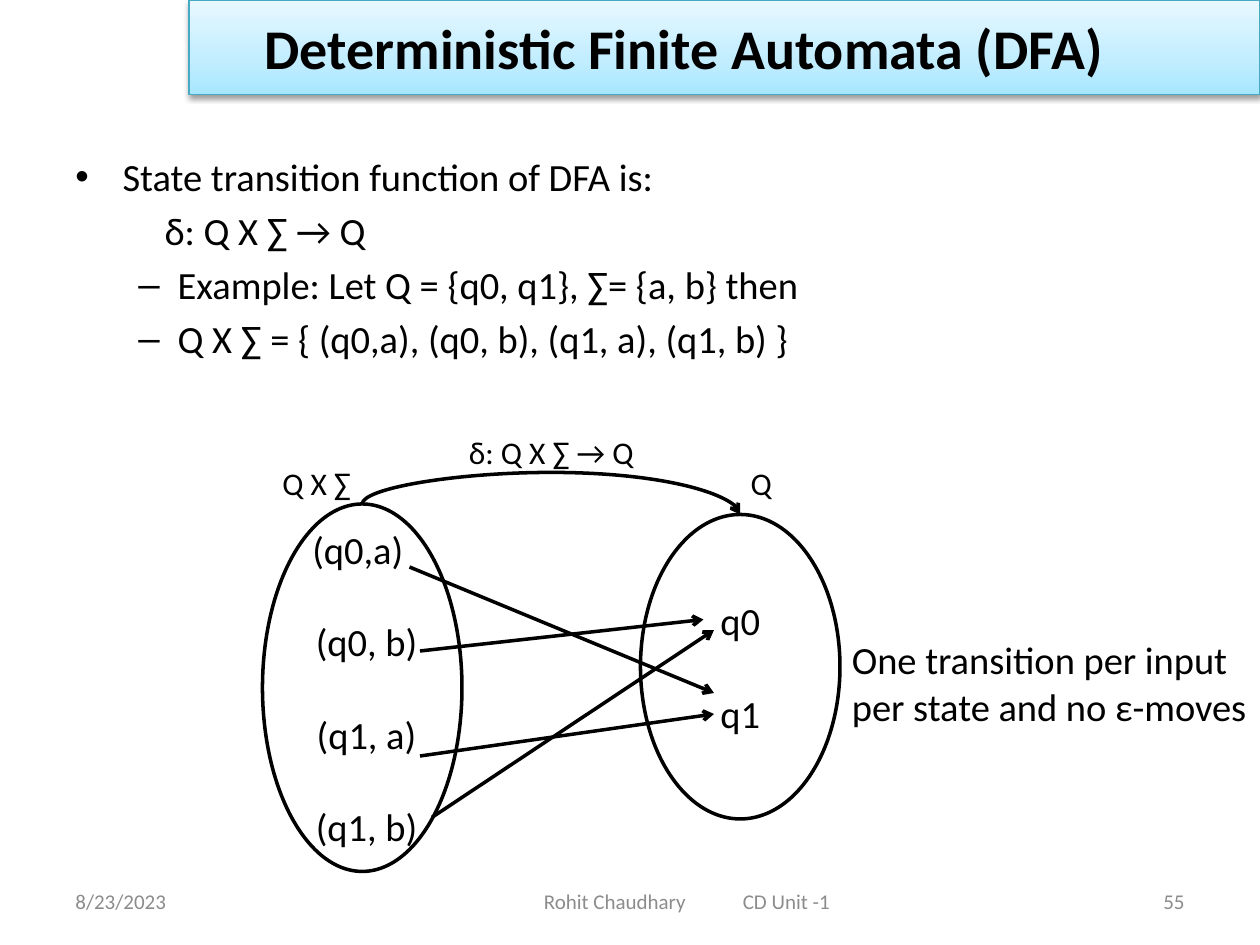
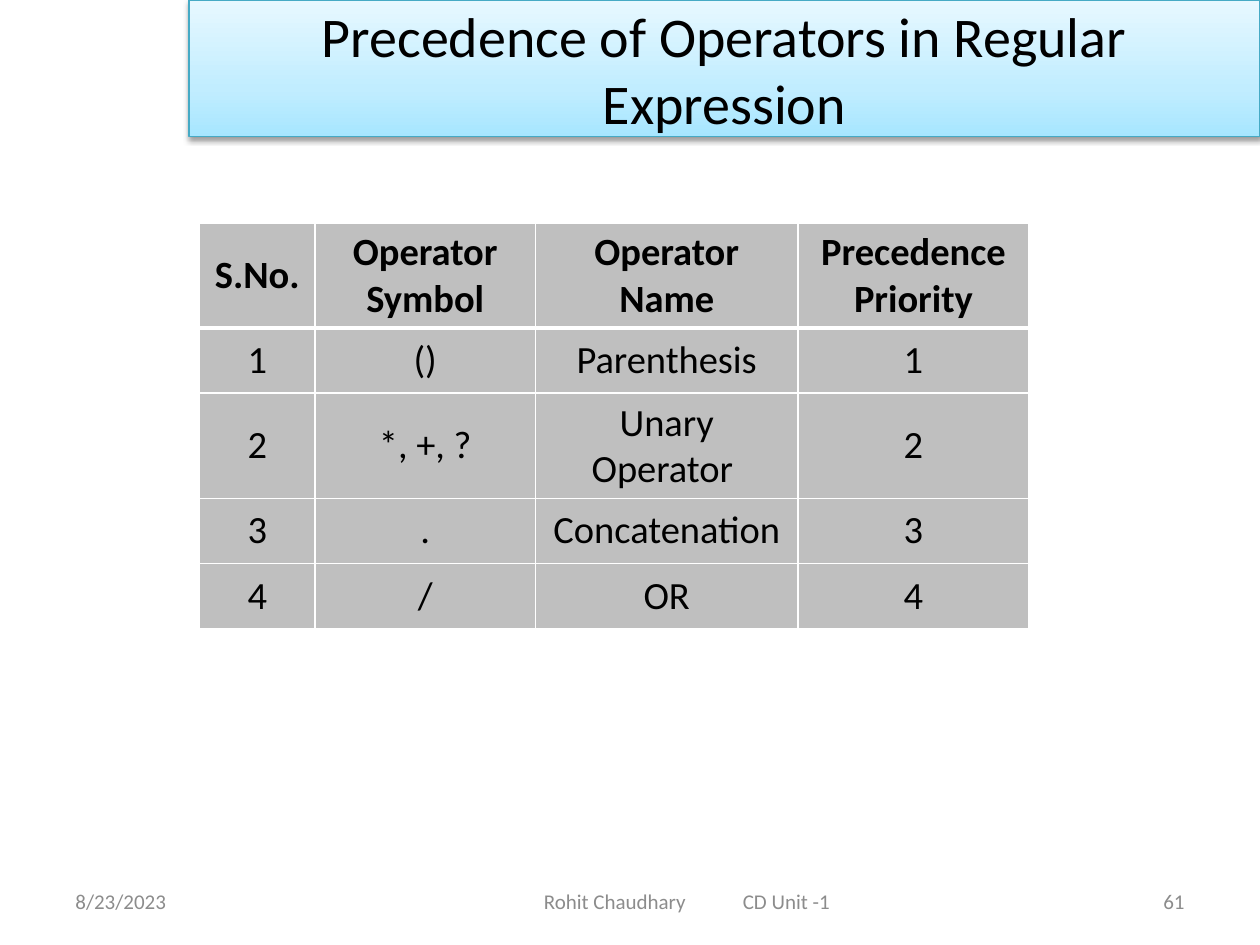
from pptx import Presentation, oxml
from pptx.dml.color import RGBColor
from pptx.enum import shapes, text
from pptx.oxml import ns
from pptx.util import Pt

BLACK = RGBColor(0x00, 0x00, 0x00)
WHITE = RGBColor(0xFF, 0xFF, 0xFF)
FOOTER_GREY = RGBColor(0x8C, 0x8C, 0x8C)
CELL_GREY = RGBColor(0xBF, 0xBF, 0xBF)
BAND_EDGE = RGBColor(0x46, 0xAA, 0xC5)
BAND_STOPS = [(0, "A7E6FF"), (35, "C1EDFF"), (100, "E7F8FF")]
LEFT, CENTER, RIGHT = text.PP_ALIGN.LEFT, text.PP_ALIGN.CENTER, text.PP_ALIGN.RIGHT
MIDDLE, TOP = text.MSO_ANCHOR.MIDDLE, text.MSO_ANCHOR.TOP
BODY_SIZE = 22


def add_xml(parent, xml):
    """Append one drawing element, given without its namespace declaration."""
    tag, rest = xml.split(" ", 1)
    parent.append(oxml.parse_xml(f"{tag} {ns.nsdecls('a')} {rest}"))


def write(tf, lines, size, align=LEFT, anchor=MIDDLE, gap=0, color=BLACK, bold=False):
    """Fill a text frame with one paragraph a line, gap points apart."""
    tf.word_wrap = True
    tf.vertical_anchor = anchor
    for i, line in enumerate(lines):
        p = tf.paragraphs[0] if i == 0 else tf.add_paragraph()
        p.alignment = align
        p.space_before = Pt(gap if i else 0)
        r = p.add_run()
        r.text = line
        font = {"name": "Calibri", "size": Pt(size), "bold": bold}
        for key, value in font.items():
            setattr(r.font, key, value)
        r.font.color.rgb = color


prs = Presentation()
prs.slide_width, prs.slide_height = Pt(720), Pt(540)

# Title band and footer of each slide
pages = [
    ("Deterministic Finite Automata (DFA)", 54, LEFT, True, "55"),
    ("Precedence of Operators in Regular Expression", 78, CENTER, False, "61"),
]
for title, height, align, bold, number in pages:
    s = prs.slides.add_slide(prs.slide_layouts[5])
    band = s.shapes.title
    band.left, band.top, band.width, band.height = Pt(108), Pt(0), Pt(612), Pt(height)
    stops = "".join(f'<a:gs pos="{pos * 1000}"><a:srgbClr val="{rgb}"/></a:gs>'
                    for pos, rgb in BAND_STOPS)
    sp_pr = band.element.spPr
    add_xml(sp_pr, f'<a:gradFill rotWithShape="1"><a:gsLst>{stops}</a:gsLst>'
                   '<a:lin ang="16200000" scaled="1"/></a:gradFill>')
    band.line.color.rgb = BAND_EDGE
    band.line.width = Pt(0.75)
    add_xml(sp_pr, '<a:effectLst ><a:outerShdw blurRad="40000" dist="20000" dir="5400000" '
                   'rotWithShape="0"><a:srgbClr val="000000"><a:alpha val="38000"/>'
                   '</a:srgbClr></a:outerShdw></a:effectLst>')
    tf = band.text_frame
    tf.auto_size = text.MSO_AUTO_SIZE.NONE
    if align == LEFT:
        tf.margin_left = Pt(43.2)
    write(tf, [title], 32, align, bold=bold)

    footers = [
        ("8/23/2023", 36, 168, LEFT),
        ("Rohit Chaudhary\tCD Unit -1", 303.7, 210, LEFT),
        (number, 516, 168, RIGHT),
    ]
    for line, left, width, side in footers:
        tf = s.shapes.add_textbox(Pt(left), Pt(500.5), Pt(width), Pt(28.75)).text_frame
        write(tf, [line], 12, side, color=FOOTER_GREY)
        if "\t" in line:
            add_xml(tf.paragraphs[0]._p.get_or_add_pPr(),
                    f'<a:tabLst ><a:tab pos="{Pt(113.7)}" algn="l"/></a:tabLst>')

dfa, precedence = prs.slides

# DFA: definition of the transition function
definition = [
    ("State transition function of DFA is:", 27, -27, "•"),
    ("δ: Q X ∑ → Q", 51, 0, None),
    ("Example: Let Q = {q0, q1}, ∑= {a, b} then", 58.5, -22.5, "–"),
    ("Q X ∑ = { (q0,a), (q0, b), (q1, a), (q1, b) }", 58.5, -22.5, "–"),
]
tf = dfa.shapes.add_textbox(Pt(36), Pt(84), Pt(648), Pt(160)).text_frame
write(tf, [row[0] for row in definition], BODY_SIZE, anchor=TOP, gap=4.4)
for p, (_, margin, indent, bullet) in zip(tf.paragraphs, definition):
    p_pr = p._p.get_or_add_pPr()
    p_pr.set("marL", str(Pt(margin)))
    p_pr.set("indent", str(Pt(indent)))
    if bullet:
        add_xml(p_pr, '<a:buFont typeface="Arial"/>')
        add_xml(p_pr, f'<a:buChar char="{bullet}"/>')

# DFA: the two sets, with one empty line's height between members
sets = [
    (["(q0,a) ", " (q0, b)", " (q1, a)", " (q1, b) "], 150, 288, 210),
    (["q0", "q1"], 366, 294, 174),
]
for members, left, top, height in sets:
    sp = dfa.shapes.add_shape(shapes.MSO_SHAPE.OVAL, Pt(left), Pt(top), Pt(114), Pt(height))
    sp.shadow.inherit = False
    sp.fill.background()
    sp.line.color.rgb = BLACK
    sp.line.width = Pt(2)
    write(sp.text_frame, members, BODY_SIZE, CENTER, gap=26.5)

# DFA: arrows; the curved one is drawn upright, then turned
STRAIGHT, CURVE = shapes.MSO_CONNECTOR.STRAIGHT, shapes.MSO_CONNECTOR.CURVE
arrows = [
    (CURVE, 318, 183, 312, 399),
    (STRAIGHT, 234, 324, 408, 396),
    (STRAIGHT, 240, 372, 402, 354),
    (STRAIGHT, 240, 432, 408, 408),
    (STRAIGHT, 247, 467, 408, 360),
]
for kind, *ends in arrows:
    c = dfa.shapes.add_connector(kind, *map(Pt, ends))
    c.line.color.rgb = BLACK
    c.line.width = Pt(2)
    add_xml(c.line._get_or_add_ln(), '<a:tailEnd type="arrow"/>')
    sp_pr = c._element.spPr
    add_xml(sp_pr, "<a:effectLst />")
    if kind == CURVE:
        sp_pr.find(ns.qn("a:xfrm")).set("rot", "16200000")
        guides = sp_pr.find(ns.qn("a:prstGeom")).get_or_add_avLst()
        add_xml(guides, '<a:gd name="adj1" fmla="val -300000"/>')

# DFA: labels
labels = [
    (["δ: Q X ∑ → Q"], 234, 240, 162, 36, 18, CENTER),
    (["Q X ∑ "], 150, 258, 66, 36, 18, CENTER),
    (["Q"], 402, 258, 66, 36, 18, CENTER),
    (["One transition per input", "per state and no ε-moves"], 479.7, 330, 240, 120,
     BODY_SIZE, LEFT),
]
for lines, left, top, width, height, size, align in labels:
    tf = dfa.shapes.add_textbox(Pt(left), Pt(top), Pt(width), Pt(height)).text_frame
    if align == LEFT:
        tf.margin_right = 0
    write(tf, lines, size, align)

# Precedence table
rows = [
    ("S.No.", "Operator\nSymbol", "Operator Name", "Precedence Priority"),
    ("1", "()", "Parenthesis", "1"),
    ("2", "*, +, ?", "Unary Operator ", "2"),
    ("3", ".", "Concatenation", "3"),
    ("4", "/", "OR", "4"),
]
table = precedence.shapes.add_table(
    len(rows), 4, Pt(114), Pt(127.5), Pt(474), Pt(232.4)).table
for column, width in zip(table.columns, (66, 126, 150, 132)):
    column.width = Pt(width)
for i, row in enumerate(rows):
    table.rows[i].height = Pt(37.2 if i else 54)
    for j, value in enumerate(row):
        cell = table.cell(i, j)
        borders = {"L": 1, "R": 1, "T": 3 if i == 1 else 1, "B": 1 if i else 3}
        for side, width in borders.items():
            add_xml(cell._tc.get_or_add_tcPr(),
                    f'<a:ln{side} w="{Pt(width)}"><a:solidFill><a:srgbClr val="{WHITE}"/>'
                    f'</a:solidFill></a:ln{side}>')
        cell.fill.solid()
        cell.fill.fore_color.rgb = CELL_GREY
        write(cell.text_frame, value.split("\n"), BODY_SIZE, CENTER, bold=i == 0)
        cell.vertical_anchor = MIDDLE

prs.save("out.pptx")
